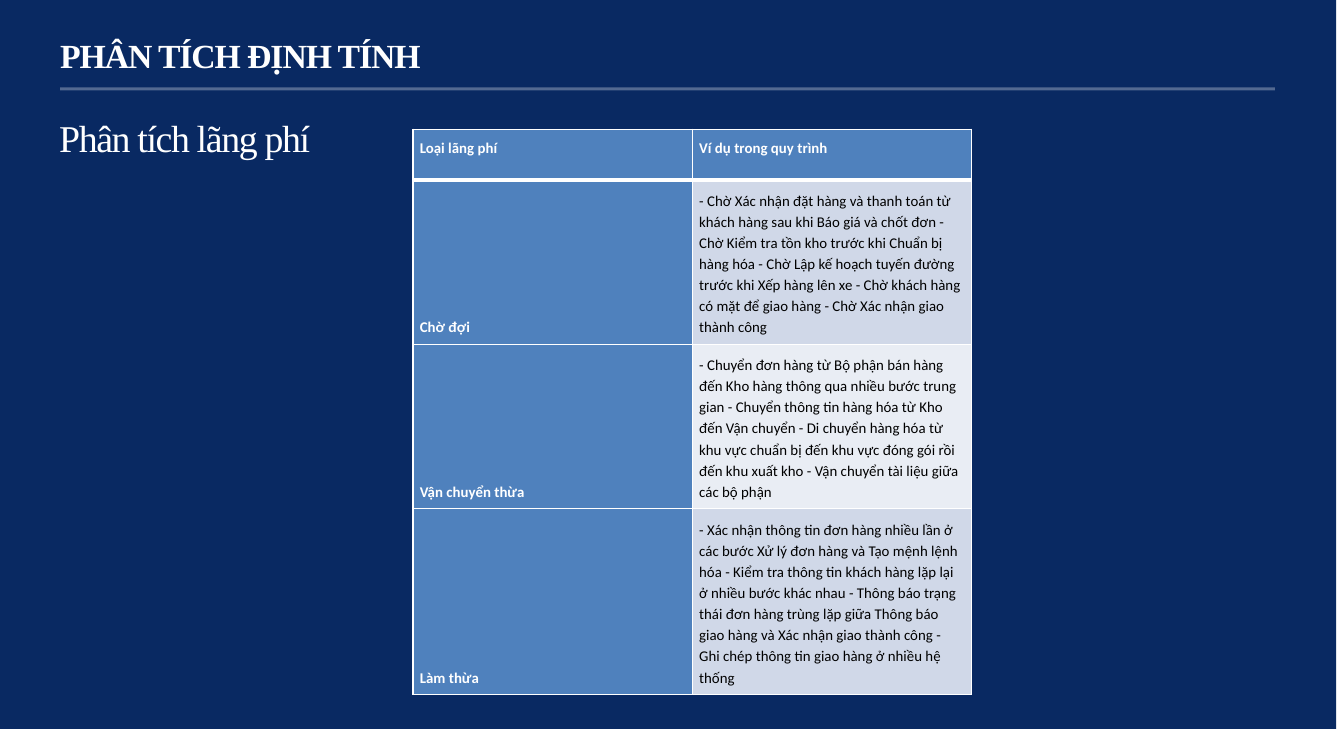
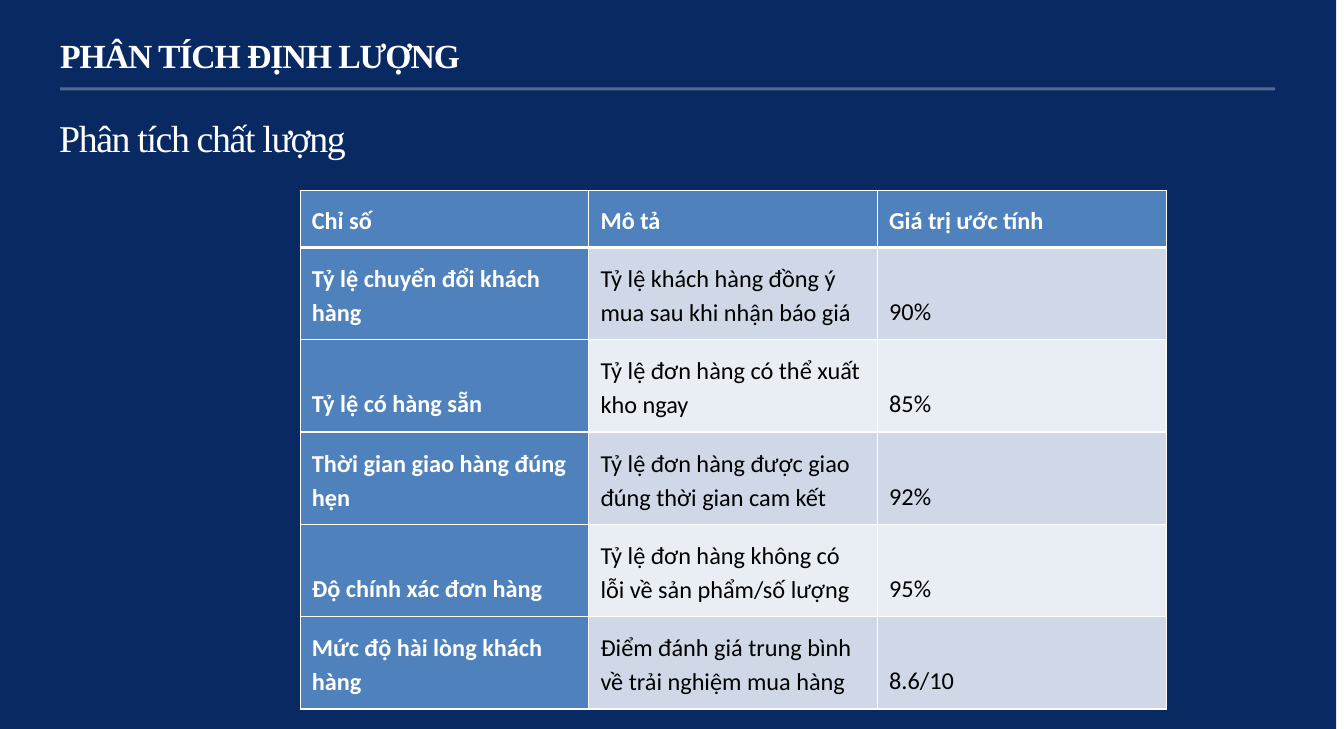
from dataclasses import dataclass
from lxml.etree import SubElement as Sub
from pptx import Presentation
from pptx.dml.color import RGBColor as Rgb
from pptx.enum.shapes import MSO_SHAPE as Shape
from pptx.enum.text import MSO_ANCHOR as Anchor, MSO_AUTO_SIZE as Fit
from pptx.oxml.ns import qn
from pptx.util import Inches, Pt


@dataclass(frozen=True)
class Theme:
    navy: str = "092962"
    white: str = "FFFFFF"
    black: str = "000000"
    blue: str = "4F81BD"
    bands: tuple = ("D0D8E8", "E9EDF4")
    serif: str = "Times New Roman"
    sans: str = "Calibri"
    head: float = 25
    sub: float = 28
    thin: float = 1
    thick: float = 3


@dataclass(frozen=True)
class Box:
    x: float
    y: float
    w: float
    h: float

    def share(self, x, y, w, h):
        return Box(self.x + self.w * x / 100, self.y + self.h * y / 100,
                   self.w * w / 100, self.h * h / 100)

    def place(self):
        return [Inches(v) for v in (self.x, self.y, self.w, self.h)]


THEME = Theme()
PAGE = Box(0, 0, 13.83, 7.5)


def style(run, face, size, color, bold=False):
    font = run.font
    font.name, font.size, font.bold = face, Pt(size), bold
    font.color.rgb = Rgb.from_string(color)


def band(slide, box, color, alpha=100):
    shape = slide.shapes.add_shape(Shape.RECTANGLE, *box.place())
    shape.shadow.inherit = False
    shape.line.fill.background()
    shape.fill.solid()
    shape.fill.fore_color.rgb = Rgb.from_string(color)
    if alpha < 100:
        tint = shape._element.spPr.find(qn("a:solidFill"))[0]
        Sub(tint, qn("a:alpha"), val=str(alpha * 1000))


def line(slide, box, text, size, gap, track, bold=False, pads=None):
    frame = slide.shapes.add_textbox(*box.place()).text_frame
    frame.word_wrap = True
    frame.auto_size = Fit.SHAPE_TO_FIT_TEXT
    if pads:
        (frame.margin_left, frame.margin_top,
         frame.margin_right, frame.margin_bottom) = map(Inches, pads)
    frame.text = text
    para = frame.paragraphs[0]
    para.space_before = Pt(gap)
    para._p.get_or_add_pPr().set("marL", str(Inches(0.01)))
    run = para.runs[0]
    style(run, THEME.serif, size, THEME.white, bold)
    run._r.get_or_add_rPr().set("spc", str(round(track * 100)))


def header(slide, box, title, topic):
    band(slide, box.share(0, 0, 99.42, 100), THEME.navy)
    band(slide, box.share(4.48, 12, 90.38, 0.4), THEME.white, 30)
    line(slide, box.share(4.41, 4.67, 45.12, 6), title, THEME.head,
         1, -0.8, True, (0, 0.01, 0, 0))
    line(slide, box.share(3.62, 15.07, 50.04, 7.6), topic, THEME.sub, 10.4, -1)


def border(cell, row):
    props = cell._tc.get_or_add_tcPr()
    widths = {"L": THEME.thin, "R": THEME.thin,
              "T": THEME.thick if row == 1 else THEME.thin,
              "B": THEME.thick if row == 0 else THEME.thin}
    for i, (side, width) in enumerate(widths.items()):
        edge = Sub(props, qn("a:ln" + side), w=str(Pt(width)))
        Sub(Sub(edge, qn("a:solidFill")), qn("a:srgbClr"), val=THEME.white)
        props.insert(i, edge)


def fill_cell(cell, text, row, col, size, pad):
    top = row == 0
    key = top or col == 0
    cell.fill.solid()
    cell.fill.fore_color.rgb = Rgb.from_string(
        THEME.blue if key else THEME.bands[(row - 1) % 2])
    cell.vertical_anchor = Anchor.TOP if top else Anchor.BOTTOM
    cell.margin_left = cell.margin_right = Inches(pad)
    cell.margin_top = cell.margin_bottom = Inches(pad if top else pad + 0.01)
    cell.text_frame.text = text
    para = cell.text_frame.paragraphs[0]
    para.line_spacing, para.space_after = 1.15, Pt(8)
    style(para.runs[0], THEME.sans, size,
          THEME.white if key else THEME.black, key)
    border(cell, row)


def grid(slide, box, data, rows, size, pad):
    cols = len(data[0])
    table = slide.shapes.add_table(len(data), cols, *box.place()).table
    for col in table.columns:
        col.width = Inches(box.w / cols)
    for r, (texts, tall) in enumerate(zip(data, rows)):
        table.rows[r].height = Inches(box.h * tall / sum(rows))
        for c, text in enumerate(texts):
            fill_cell(table.cell(r, c), text, r, c, size, pad)


WASTE = [
    ("Loại lãng phí", "Ví dụ trong quy trình"),
    ("Chờ đợi",
     "- Chờ Xác nhận đặt hàng và thanh toán từ khách hàng sau khi Báo giá "
     "và chốt đơn - Chờ Kiểm tra tồn kho trước khi Chuẩn bị hàng hóa "
     "- Chờ Lập kế hoạch tuyến đường trước khi Xếp hàng lên xe "
     "- Chờ khách hàng có mặt để giao hàng - Chờ Xác nhận giao thành công"),
    ("Vận chuyển thừa",
     "- Chuyển đơn hàng từ Bộ phận bán hàng đến Kho hàng thông qua nhiều "
     "bước trung gian - Chuyển thông tin hàng hóa từ Kho đến Vận chuyển "
     "- Di chuyển hàng hóa từ khu vực chuẩn bị đến khu vực đóng gói rồi "
     "đến khu xuất kho - Vận chuyển tài liệu giữa các bộ phận"),
    ("Làm thừa",
     "- Xác nhận thông tin đơn hàng nhiều lần ở các bước Xử lý đơn hàng "
     "và Tạo mệnh lệnh hóa - Kiểm tra thông tin khách hàng lặp lại ở nhiều "
     "bước khác nhau - Thông báo trạng thái đơn hàng trùng lặp giữa Thông "
     "báo giao hàng và Xác nhận giao thành công - Ghi chép thông tin giao "
     "hàng ở nhiều hệ thống"),
]
SCORES = [
    ("Chỉ số", "Mô tả", "Giá trị ước tính"),
    ("Tỷ lệ chuyển đổi khách hàng",
     "Tỷ lệ khách hàng đồng ý mua sau khi nhận báo giá", "90%"),
    ("Tỷ lệ có hàng sẵn", "Tỷ lệ đơn hàng có thể xuất kho ngay", "85%"),
    ("Thời gian giao hàng đúng hẹn",
     "Tỷ lệ đơn hàng được giao đúng thời gian cam kết", "92%"),
    ("Độ chính xác đơn hàng",
     "Tỷ lệ đơn hàng không có lỗi về sản phẩm/số lượng", "95%"),
    ("Mức độ hài lòng khách hàng",
     "Điểm đánh giá trung bình về trải nghiệm mua hàng", "8.6/10"),
]
SLIDES = [
    ("PHÂN TÍCH ĐỊNH TÍNH", "Phân tích lãng phí",
     (30.73, 17.73, 41.58, 77.6), WASTE, (0.52, 1.69, 1.69, 1.91), 11, 0.07),
    ("PHÂN TÍCH ĐỊNH LƯỢNG", "Phân tích chất lượng",
     (22.34, 26.13, 64.43, 70.13), SCORES, (0.56, *[0.94] * 5), 18, 0.12),
]


def main():
    deck = Presentation()
    deck.slide_width, deck.slide_height = Inches(PAGE.w), Inches(PAGE.h)
    for title, topic, area, data, rows, size, pad in SLIDES:
        slide = deck.slides.add_slide(deck.slide_layouts[6])
        header(slide, PAGE, title, topic)
        grid(slide, PAGE.share(*area), data, rows, size, pad)
    deck.save("out.pptx")


if __name__ == "__main__":
    main()
